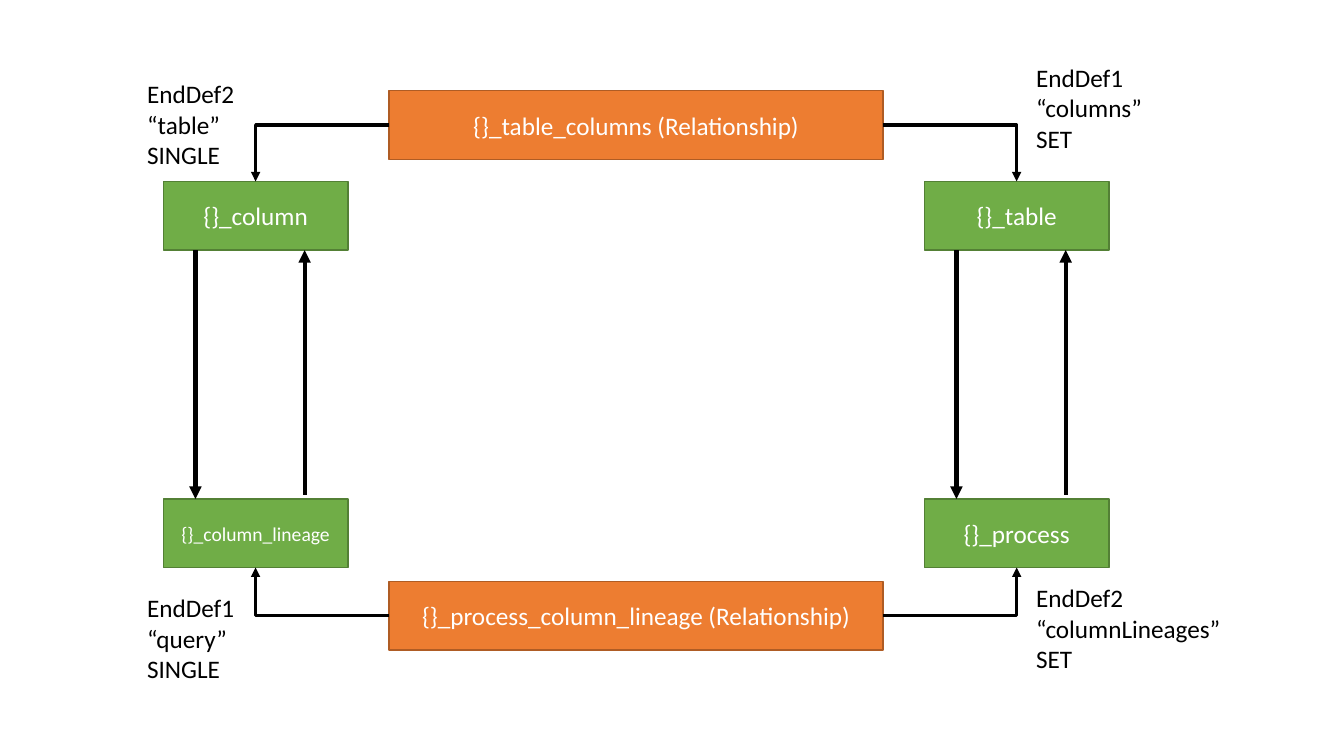
import dataclasses

import lxml.etree
import pptx
import pptx.dml.color
import pptx.enum.shapes
import pptx.enum.text
import pptx.oxml.ns
import pptx.shapes.autoshape
import pptx.shapes.connector
import pptx.text.text
import pptx.util

Pt = pptx.util.Pt
RGB = pptx.dml.color.RGBColor
Shape = pptx.shapes.autoshape.Shape
Line = pptx.shapes.connector.Connector
Kind = pptx.enum.shapes.MSO_CONNECTOR

GREEN, MOSS = RGB(0x70, 0xAD, 0x47), RGB(0x53, 0x80, 0x35)
ORANGE, RUST = RGB(0xED, 0x7D, 0x31), RGB(0xAF, 0x5C, 0x24)
WHITE, BLACK = RGB(0xFF, 0xFF, 0xFF), RGB(0, 0, 0)

FONT = "Calibri"
HIGH = 49  # height of every box
LEFT, RIGHT = 116.6, 660.2  # node columns
UPPER, LOWER = 129.6, 356.4  # node rows
NODE, WIDE = 132, 352.8  # box widths
DOWN, UP = 23, 101  # arrow offsets inside a node
GAP = 3  # space below each upward arrow
SIDE_TOP, SIDE_LEFT, SIDE_LOW, SIDE_RIGHT = range(4)


@dataclasses.dataclass
class Box:
    """A filled box with one line of text."""
    text: str
    left: float
    top: float
    width: float = NODE
    fill: RGB = GREEN
    edge: RGB = MOSS
    size: float = 18


@dataclasses.dataclass
class Label:
    """A three-line note on one end of a relationship."""
    lines: tuple[str, str, str]
    left: float
    top: float
    width: float


deck = pptx.Presentation()
deck.slide_width, deck.slide_height = Pt(960), Pt(540)
slide = deck.slides.add_slide(deck.slide_layouts[6])
shapes = slide.shapes


def style(para: pptx.text.text._Paragraph, size: float, color: RGB) -> None:
    """Set the font of a paragraph."""
    para.font.name = FONT
    para.font.size = Pt(size)
    para.font.color.rgb = color


def draw_box(box: Box) -> Shape:
    """Draw a box and return its shape."""
    shape = shapes.add_shape(
        pptx.enum.shapes.MSO_SHAPE.RECTANGLE,
        Pt(box.left), Pt(box.top), Pt(box.width), Pt(HIGH))
    shape.shadow.inherit = False
    shape.fill.solid()
    shape.fill.fore_color.rgb = box.fill
    shape.line.color.rgb = box.edge
    shape.line.width = Pt(1)
    frame = shape.text_frame
    frame.vertical_anchor = pptx.enum.text.MSO_ANCHOR.MIDDLE
    para = frame.paragraphs[0]
    para.text = box.text
    para.alignment = pptx.enum.text.PP_ALIGN.CENTER
    style(para, box.size, WHITE)
    return shape


def draw_label(label: Label) -> None:
    """Draw a note that does not wrap."""
    text = shapes.add_textbox(
        Pt(label.left), Pt(label.top), Pt(label.width), Pt(72.7))
    frame = text.text_frame
    frame.word_wrap = False
    frame.auto_size = pptx.enum.text.MSO_AUTO_SIZE.SHAPE_TO_FIT_TEXT
    frame.text = "\n".join(label.lines)
    for para in frame.paragraphs:
        style(para, 18, BLACK)


def finish(line: Line, width: float) -> None:
    """Make a connector black, flat and arrow-tipped."""
    line.line.color.rgb = BLACK
    line.line.width = Pt(width)
    name = pptx.oxml.ns.qn
    tip = lxml.etree.SubElement(line.line._get_or_add_ln(), name("a:tailEnd"))
    tip.set("type", "triangle")
    lxml.etree.SubElement(line.element.spPr, name("a:effectLst"))


def draw_flow(across: float, start: float, end: float) -> None:
    """Draw a straight vertical arrow."""
    line = shapes.add_connector(
        Kind.STRAIGHT, Pt(across), Pt(start), Pt(across), Pt(end))
    finish(line, 3)


def draw_bend(source: Shape, out: int, target: Shape, into: int) -> None:
    """Join two boxes with a one-corner arrow."""
    line = shapes.add_connector(Kind.ELBOW, 0, 0, 0, 0)
    line.begin_connect(source, out)
    line.end_connect(target, into)
    line.element.spPr.prstGeom.set("prst", "bentConnector2")
    finish(line, 2.25)


def draw_link(text: str, top: float, nodes: tuple[Shape, Shape],
              into: int) -> None:
    """Draw a relationship and its arrows to the left and right nodes."""
    link = draw_box(Box(text, 278, top, WIDE, ORANGE, RUST))
    for out, node in zip((SIDE_LEFT, SIDE_RIGHT), nodes):
        draw_bend(link, out, node, into)


column = draw_box(Box("{}_column", LEFT, UPPER))
table = draw_box(Box("{}_table", RIGHT, UPPER))
lineage = draw_box(Box("{}_column_lineage", LEFT, LOWER, size=14))
process = draw_box(Box("{}_process", RIGHT, LOWER))

draw_link("{}_table_columns (Relationship)", 64.8, (column, table), SIDE_TOP)
draw_link("{}_process_column_lineage (Relationship)", 415.4,
          (lineage, process), SIDE_LOW)

for left in (LEFT, RIGHT):
    draw_flow(left + DOWN, UPPER + HIGH, LOWER)
    draw_flow(left + UP, LOWER - GAP, UPPER + HIGH)

for label in (
    Label(("EndDef2", "“table”", "SINGLE"), 98, 52.6, 77.8),
    Label(("EndDef1", "“columns”", "SET"), 733, 41, 90.7),
    Label(("EndDef1", "“query”", "SINGLE"), 98, 419.8, 77.8),
    Label(("EndDef2", "“columnLineages”", "SET"), 733, 412.6, 147.6),
):
    draw_label(label)

deck.save("out.pptx")
